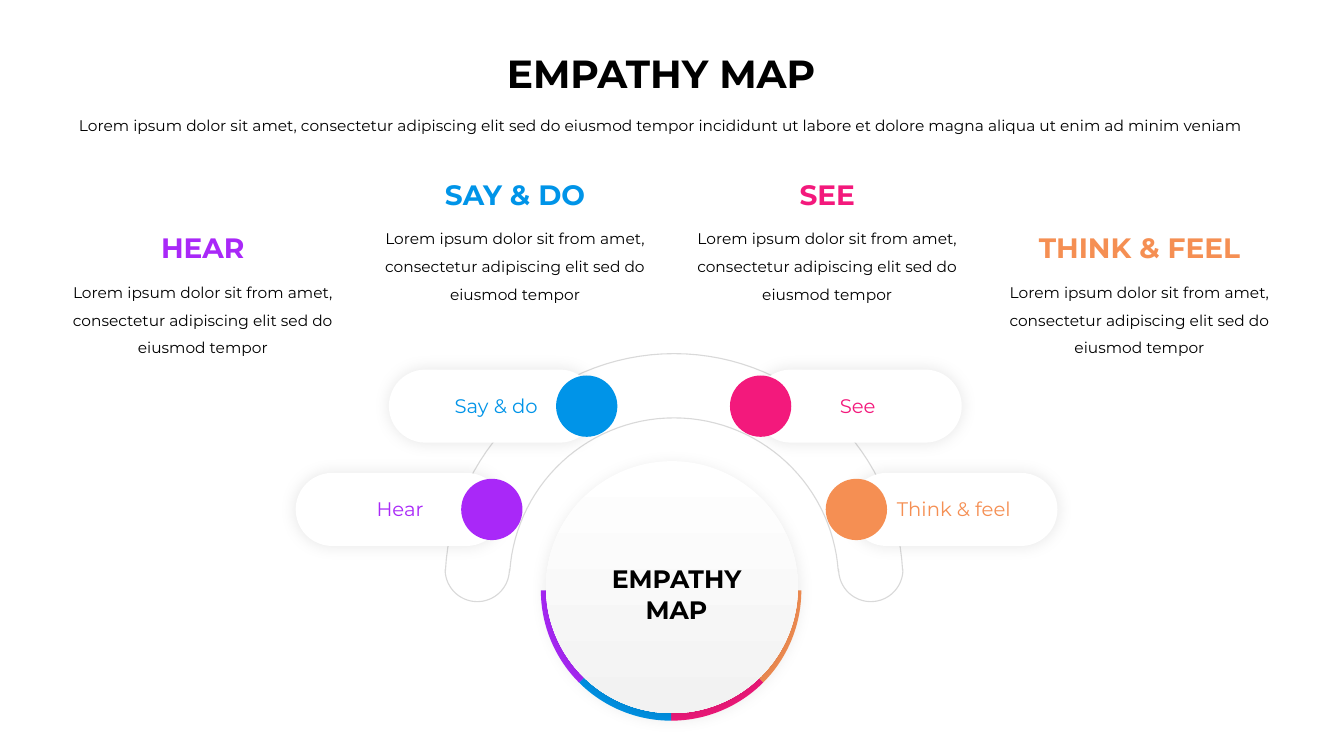
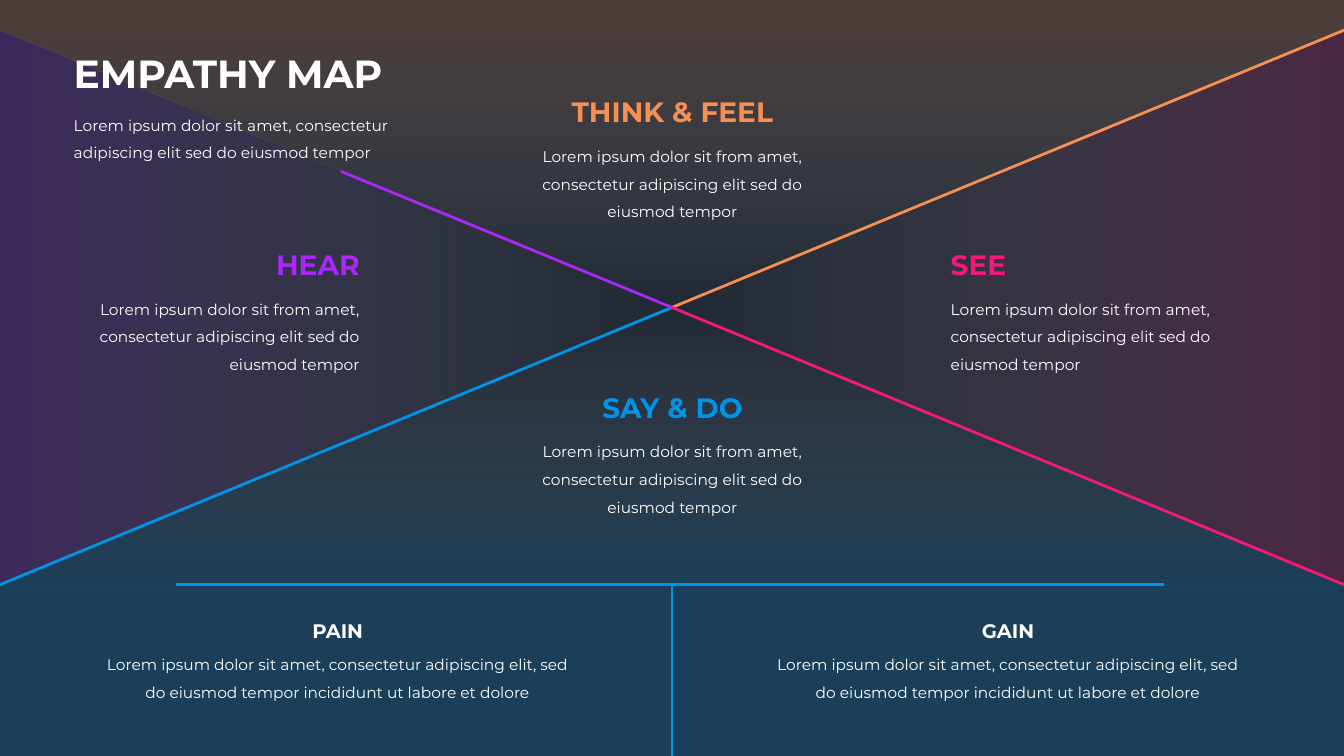
import math
from pptx import Presentation, util as u
from pptx.dml.color import RGBColor
from pptx.enum import shapes, text
from pptx.oxml import parse_xml
from pptx.oxml.ns import nsdecls, qn

# Grid: 160 columns by 90 rows of square cells
COLS, ROWS = 160, 90
CELL = u.Inches(1 / 12)
FONT = "Montserrat"
COLORS = {
    "hear": "A928F8", "say": "0094E8", "see": "F3197C", "think": "F58F53",
    "white": "FFFFFF", "black": "000000", "night": "222A35",
    "outline": "D9D9D9", "hub": "F2F2F2",
}
ALIGN = {"l": text.PP_ALIGN.LEFT, "c": text.PP_ALIGN.CENTER, "r": text.PP_ALIGN.RIGHT}
KIND = shapes.MSO_SHAPE

NAMES = {"hear": "Hear", "say": "Say & do", "see": "See", "think": "Think & feel"}
TOPIC_BODY = "Lorem ipsum dolor sit from amet, consectetur adipiscing elit sed do eiusmod tempor"
INTRO = "Lorem ipsum dolor sit amet, consectetur adipiscing elit sed do eiusmod tempor"
INTRO_END = " incididunt ut labore et dolore magna aliqua ut enim ad minim veniam"
FIELD_BODY = ("Lorem ipsum dolor sit amet, consectetur adipiscing elit, sed do eiusmod "
              "tempor incididunt ut labore et dolore")


def rgb(name):
    return RGBColor.from_string(COLORS[name])


def emu(cells):
    return round(cells * CELL)


def arc(cx, cy, radius, start, end, steps=60):
    """Points on a circle, angles in degrees clockwise from the right."""
    angles = [math.radians(start + (end - start) * i / steps) for i in range(steps + 1)]
    return [(cx + radius * math.cos(a), cy + radius * math.sin(a)) for a in angles]


class Board:
    """Shared style and the slide being filled."""

    def __init__(self):
        self.deck = Presentation()
        self.deck.slide_width, self.deck.slide_height = emu(COLS), emu(ROWS)

    def new_slide(self, background, ink):
        self.slide = self.deck.slides.add_slide(self.deck.slide_layouts[6])
        self.slide.background.fill.solid()
        self.slide.background.fill.fore_color.rgb = rgb(background)
        self.ink = ink

    def label(self, words, x, y, w, h, size=11, color=None, bold=False, align="c", spacing=1.0):
        box = self.slide.shapes.add_textbox(*map(emu, (x, y, w, h)))
        box.text_frame.word_wrap = True
        paragraph = box.text_frame.paragraphs[0]
        paragraph.alignment, paragraph.line_spacing = ALIGN[align], spacing
        run = paragraph.add_run()
        run.text = words
        font = run.font
        font.name, font.size, font.bold = FONT, u.Pt(size), bold
        font.color.rgb = rgb(color or self.ink)

    def body(self, words, x, y, w, h=10.8, align="c"):
        self.label(words, x, y, w, h, align=align, spacing=1.5)

    def title(self, intro, w, align):
        self.label("EMPATHY MAP", 7.6, 5.3, w, 6.8, size=28, bold=True, align=align)
        self.body(intro, 7.6, 12.1, w, align=align)

    def topic(self, key, x, y, align="c"):
        self.label(NAMES[key].upper(), x, y, 39.7, 5.3, size=20, color=key, bold=True, align=align)
        self.body(TOPIC_BODY, x, y + 5.1, 39.7, align=align)

    def paint(self, shape, colors, alphas=(), angle=0):
        """Fill with one colour, or with a gradient from first to second."""
        if len(colors) == 1:
            shape.fill.solid()
            shape.fill.fore_color.rgb = rgb(colors[0])
        else:
            shape.fill.gradient()
            shape.fill.gradient_angle = (360 - angle) % 360
            for stop, color, position in zip(shape.fill.gradient_stops, colors, (0, 1)):
                stop.color.rgb, stop.position = rgb(color), position
        tints = shape._element.spPr.findall(".//" + qn("a:srgbClr"))
        for tint, alpha in zip(tints, alphas):
            tint.append(parse_xml(f'<a:alpha {nsdecls("a")} val="{alpha * 1000}"/>'))
        shape.line.fill.background()
        shape.shadow.inherit = False

    def shape(self, kind, x, y, w, h, colors, alphas=(), angle=0, adjust=()):
        part = self.slide.shapes.add_shape(kind, *map(emu, (x, y, w, h)))
        for i, value in enumerate(adjust):
            part.adjustments[i] = value
        self.paint(part, colors, alphas, angle)
        return part

    def soften(self, shape, distance=0):
        effects = shape._element.spPr.find(qn("a:effectLst"))
        effects.append(parse_xml(
            f'<a:outerShdw {nsdecls("a")} blurRad="{u.Pt(12)}" dist="{u.Pt(distance)}" '
            'dir="5400000" algn="ctr" rotWithShape="0"><a:srgbClr val="000000">'
            '<a:alpha val="10000"/></a:srgbClr></a:outerShdw>'))

    def outline(self, points):
        (x, y), *rest = [(emu(px), emu(py)) for px, py in points]
        builder = self.slide.shapes.build_freeform(x, y, scale=1.0)
        builder.add_line_segments(rest, close=True)
        part = builder.convert_to_shape()
        part.shadow.inherit = False
        return part

    def line(self, start, end, color):
        link = self.slide.shapes.add_connector(
            shapes.MSO_CONNECTOR.STRAIGHT, *map(emu, (*start, *end)))
        link.line.color.rgb, link.line.width = rgb(color), u.Pt(2)
        link._element.spPr.append(parse_xml(f'<a:effectLst {nsdecls("a")}/>'))


def arch_slide(board):
    board.new_slide("white", "black")
    board.title(INTRO + INTRO_END, 142.2, "c")

    # Arch with round ends
    cx, cy, outer, inner = 80.25, 69.35, 27.25, 19.6
    middle, cap, foot = (outer + inner) / 2, (outer - inner) / 2, 67.8
    arch = board.outline(
        arc(cx, cy, outer, 183, 357)
        + arc(cx + middle, foot, cap, 0, 180)
        + arc(cx, cy, inner, 356, 184)
        + arc(cx - middle, foot, cap, 0, 180))
    arch.fill.background()
    arch.line.color.rgb, arch.line.width = rgb("outline"), u.Pt(0.8)

    # Pills, each with a disc at its inner end: pill x, y, disc x, label x, alignment
    pills = {
        "hear": (35.2, 56.3, 54.9, 34.9, "r"),
        "say": (46.3, 44, 66.2, 48.5, "r"),
        "see": (89.8, 44, 86.9, 98.8, "l"),
        "think": (101.2, 56.3, 98.3, 105.6, "l"),
    }
    for x, y, *_ in pills.values():
        board.soften(board.shape(KIND.ROUNDED_RECTANGLE, x, y, 24.7, 8.7, ["white"], adjust=[0.5]))
    for key, (_, y, disc, label, align) in pills.items():
        board.shape(KIND.OVAL, disc, y + 0.7, 7.3, 7.3, [key])
        board.label(NAMES[key], label, y + 2.3, 16.7, 4.1, size=14, color=key, align=align)

    # Hub over a four-part ring; 0.6 turns degrees into adjustment units
    for i, key in enumerate(reversed(NAMES)):
        board.shape(KIND.BLOCK_ARC, 64.4, 54.8, 31, 31, [key],
                    adjust=[45 * i * 0.6, 45 * (i + 1) * 0.6, 0.09])
    hub = board.shape(KIND.OVAL, 65, 54.9, 30, 30, ["white", "hub"], angle=90)
    board.soften(hub, distance=3)
    board.label("EMPATHY MAP", 70.6, 66.5, 19.9, 8.5, size=18, bold=True)

    # Topics, the middle two raised
    for i, (key, y) in enumerate(zip(NAMES, (26.9, 20.5, 20.5, 26.9))):
        board.topic(key, 4.3 + 37.17 * i, y)


def cross_slide(board):
    board.new_slide("night", "white")
    top, bottom = 3.6, 69.6
    center = (COLS / 2, (top + bottom) / 2)
    nw, ne, se, sw = (0, top), (COLS, top), (COLS, bottom), (0, bottom)

    # Four wedges that fade towards the centre
    wedges = {"hear": (nw, sw, 0), "see": (ne, se, 180),
              "think": (nw, ne, 90), "say": (sw, se, 270)}
    for key, (start, end, angle) in wedges.items():
        board.paint(board.outline([start, end, center]), [key, "white"], (20, 0), angle)

    # Flat bands above and below
    board.shape(KIND.RECTANGLE, 0, 0, COLS, top, ["think"], [20])
    board.shape(KIND.RECTANGLE, 0, bottom, COLS, ROWS - bottom, ["say"], [20])

    # Rays and dividers
    rays = {"say": sw, "think": ne, "see": se, "hear": (40.6, 20.4)}
    for key, start in rays.items():
        board.line(start, center, key)
    board.line((80, ROWS), (80, bottom), "say")
    board.line((20.9, bottom), (138.6, bottom), "say")

    # Topics
    for key, x, y, align in (("hear", 4.3, 28.9, "r"), ("say", 60.2, 45.9, "c"),
                             ("see", 112, 28.9, "l"), ("think", 60.2, 10.7, "c")):
        board.topic(key, x, y, align)

    # Pain and gain
    for heading, x in (("PAIN", 10.6), ("GAIN", 90.4)):
        board.label(heading, x, 73.15, 59.2, 4.1, size=14, bold=True)
        board.body(FIELD_BODY, x, 76.3, 59.2, 7.6)

    board.title(INTRO, 46.6, "l")


def main():
    board = Board()
    arch_slide(board)
    cross_slide(board)
    board.deck.save("out.pptx")


if __name__ == "__main__":
    main()
